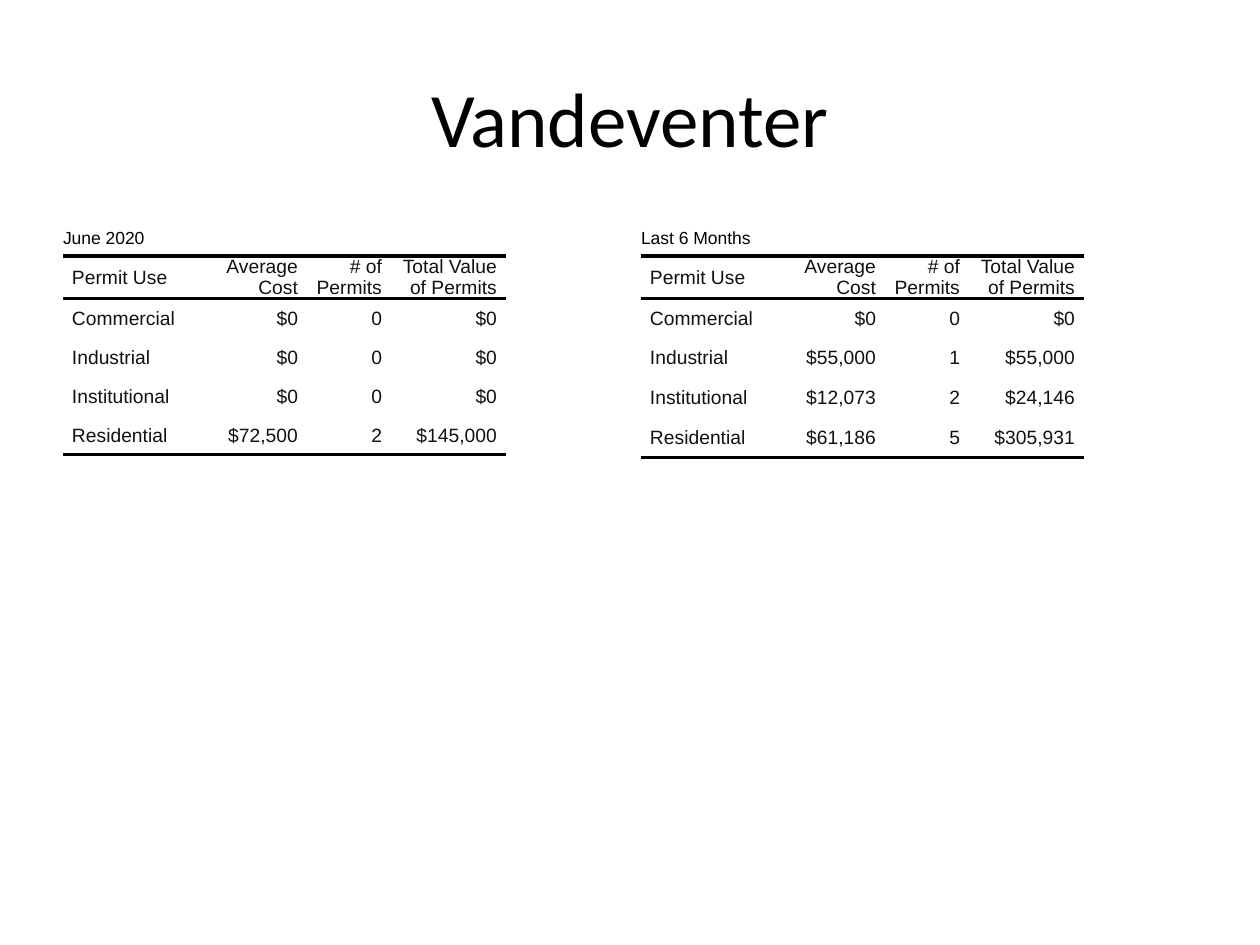
from lxml.etree import SubElement
from pptx import Presentation
from pptx.dml.color import RGBColor
from pptx.enum.text import MSO_ANCHOR, PP_ALIGN
from pptx.oxml.ns import qn
from pptx.util import Emu, Pt

COLUMNS = [139, 105, 84, 115]
HEADERS = ["Permit Use", "Average Cost", "# of Permits", "Total Value of Permits"]
JUNE = [
    ["Commercial", "$0", "0", "$0"],
    ["Industrial", "$0", "0", "$0"],
    ["Institutional", "$0", "0", "$0"],
    ["Residential", "$72,500", "2", "$145,000"],
]
SIX_MONTHS = [
    ["Commercial", "$0", "0", "$0"],
    ["Industrial", "$55,000", "1", "$55,000"],
    ["Institutional", "$12,073", "2", "$24,146"],
    ["Residential", "$61,186", "5", "$305,931"],
]


def px(n):
    return Emu(round(n * 914400 / 126))


def color(value):
    return RGBColor.from_string(value)


def write(tf, text, font="Arial", size=11, fill="111111",
          align=PP_ALIGN.LEFT, indent=0, space=0):
    p = tf.paragraphs[0]
    p.alignment = align
    if space:
        p.space_before = p.space_after = Pt(space)
    if indent:
        pPr = p._p.get_or_add_pPr()
        for side in ("marL", "marR"):
            pPr.set(side, str(px(indent)))
        pPr.set("indent", "0")
    r = p.add_run()
    r.text = text
    r.font.name = font
    r.font.size = Pt(size)
    r.font.color.rgb = color(fill)


def add_rule(cell, tag):
    ln = SubElement(cell._tc.get_or_add_tcPr(), qn(tag), w=str(Pt(2)))
    fill = SubElement(ln, qn("a:solidFill"))
    SubElement(fill, qn("a:srgbClr"), val="000000")


def clear_cell(cell):
    cell.margin_left = cell.margin_right = 0
    cell.margin_top = cell.margin_bottom = 0
    cell.vertical_anchor = MSO_ANCHOR.MIDDLE
    cell.fill.background()


def add_title(s, x, y, w, h, text):
    tf = s.shapes.add_textbox(px(x), px(y), px(w), px(h)).text_frame
    tf.word_wrap = True
    tf.vertical_anchor = MSO_ANCHOR.MIDDLE
    write(tf, text, font="Calibri", size=44, fill="000000", align=PP_ALIGN.CENTER)


def add_permits(s, x, y, period, records, heights):
    rows = [HEADERS] + records
    table = s.shapes.add_table(len(rows) + 1, len(COLUMNS), px(x), px(y),
                               px(sum(COLUMNS)), px(sum(heights))).table
    table.first_row = table.horz_banding = False
    for column, width in zip(table.columns, COLUMNS):
        column.width = px(width)
    for row, height in zip(table.rows, heights):
        row.height = px(height)

    for i, values in enumerate(rows, 1):
        for j, text in enumerate(values):
            cell = table.cell(i, j)
            if i == 1:
                add_rule(cell, "a:lnT")
            if i in (1, len(rows)):
                add_rule(cell, "a:lnB")
            write(cell.text_frame, text, indent=9, space=2,
                  align=PP_ALIGN.RIGHT if j else PP_ALIGN.LEFT)
    for cell in table.iter_cells():
        clear_cell(cell)

    caption = table.cell(0, 0)
    caption.merge(table.cell(0, len(COLUMNS) - 1))
    write(caption.text_frame, period, size=10, fill="000000")
    style = table._tbl.tblPr.find(qn("a:tableStyleId"))
    style.text = "{2D5ABB26-0587-4C30-8999-92F81FD0307C}"


def main():
    prs = Presentation()
    prs.slide_width, prs.slide_height = px(1260), px(945)
    s = prs.slides.add_slide(prs.slide_layouts[6])
    add_permits(s, 63, 220, "June 2020", JUNE, [36, 36, 39, 39, 39, 39])
    add_permits(s, 641, 220, "Last 6 Months", SIX_MONTHS, [36, 36, 39, 40, 40, 40])
    add_title(s, 63, 38, 1134, 158, "Vandeventer")
    prs.save("out.pptx")


if __name__ == "__main__":
    main()
